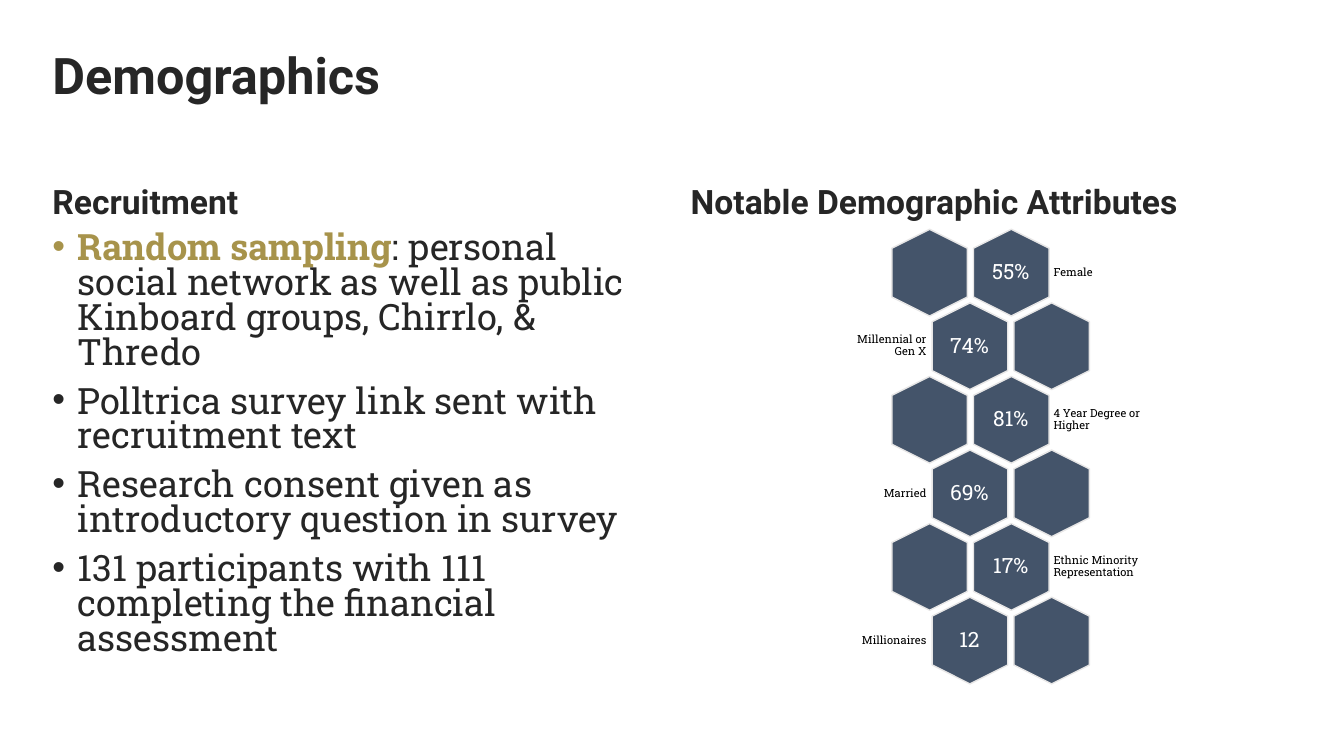
from pptx import Presentation
from pptx.dml.color import RGBColor
from pptx.enum.shapes import MSO_SHAPE
from pptx.enum.text import MSO_ANCHOR, MSO_AUTO_SIZE, PP_ALIGN
from pptx.oxml import parse_xml
from pptx.oxml.ns import nsdecls
from pptx.util import Inches, Pt

INK = RGBColor(0x26, 0x26, 0x26)
GOLD = RGBColor(0xA7, 0x93, 0x4B)
SLATE = RGBColor(0x44, 0x54, 0x6A)
PALE = RGBColor(0xE7, 0xE6, 0xE6)
WHITE = RGBColor(0xFF, 0xFF, 0xFF)
BLACK = RGBColor(0, 0, 0)
SANS, SLAB = "Roboto", "Roboto Slab"

RECRUITMENT = [
    [("Random sampling", GOLD),
     (": personal social network as well as public Kinboard groups, Chirrlo, & Thredo", INK)],
    [("Polltrica survey link sent with recruitment text", INK)],
    [("Research consent given as introductory question in survey", INK)],
    [("131 participants with 111 completing the financial assessment", INK)],
]
ATTRIBUTES = [
    ("55%", "Female"),
    ("74%", "Millennial or Gen X"),
    ("81%", "4 Year Degree or Higher"),
    ("69%", "Married"),
    ("17%", "Ethnic Minority Representation"),
    ("12", "Millionaires"),
]
HEX_TOP, ROW_STEP = 2.33, 0.73
HEX_WIDTH, HEX_HEIGHT = 0.86, 0.75


def add_span(para, text, *, font, size, color, bold=False):
    span = para.add_run()
    span.text = text
    span.font.name = font
    span.font.size = Pt(size)
    span.font.color.rgb = color
    span.font.bold = bold


def place(box, left, top, width, height):
    box.left, box.top = Inches(left), Inches(top)
    box.width, box.height = Inches(width), Inches(height)


def write_line(box, text, *, align=PP_ALIGN.LEFT, anchor=MSO_ANCHOR.MIDDLE, inset=None, **font):
    """Fill a box with one wrapped paragraph."""
    frame = box.text_frame
    frame.word_wrap = True
    frame.auto_size = MSO_AUTO_SIZE.NONE
    frame.vertical_anchor = anchor
    if inset is not None:
        frame.margin_left = frame.margin_right = Inches(inset)
        frame.margin_top = frame.margin_bottom = Inches(inset)
    para = frame.paragraphs[0]
    para.alignment = align
    para.line_spacing = 0.9
    para.space_before = Pt(0)
    add_span(para, text, **font)


def write_bullets(box, items):
    frame = box.text_frame
    frame.auto_size = MSO_AUTO_SIZE.NONE
    for index, spans in enumerate(items):
        para = frame.add_paragraph() if index else frame.paragraphs[0]
        para.line_spacing = 0.8
        para.space_before = Pt(10 if index else 0)
        properties = para._p.get_or_add_pPr()
        properties.set("marL", str(Inches(0.25)))
        properties.set("indent", str(Inches(-0.25)))
        properties.append(parse_xml(f'<a:buFont {nsdecls("a")} typeface="Arial"/>'))
        properties.append(parse_xml(f'<a:buChar {nsdecls("a")} char="•"/>'))
        for text, color in spans:
            add_span(para, text, font=SLAB, size=25.9, color=color, bold=color == GOLD)


def add_hexagon(group, left, top):
    hexagon = group.shapes.add_shape(
        MSO_SHAPE.HEXAGON, Inches(left), Inches(top), Inches(HEX_WIDTH), Inches(HEX_HEIGHT))
    hexagon.rotation = 90
    hexagon.adjustments[0] = 0.25
    hexagon.shadow.inherit = False
    hexagon.fill.solid()
    hexagon.fill.fore_color.rgb = SLATE
    hexagon.line.color.rgb = PALE
    hexagon.line.width = Pt(1)


def add_label(group, text, left, top, width, height, **style):
    box = group.shapes.add_textbox(Inches(left), Inches(top), Inches(width), Inches(height))
    write_line(box, text, font=SLAB, **style)


def add_honeycomb(slide):
    """Stack hexagon pairs, with values and labels on alternating sides."""
    group = slide.shapes.add_group_shape()
    for row, (value, label) in enumerate(ATTRIBUTES):
        top = HEX_TOP + row * ROW_STEP
        if row % 2 == 0:
            value_left, blank_left = 9.6, 8.79
            label_left, label_width, align = 10.42, 0.96, PP_ALIGN.LEFT
        else:
            value_left, blank_left = 9.19, 10
            label_left, label_width, align = 8.29, 0.93, PP_ALIGN.RIGHT
        add_hexagon(group, value_left, top)
        add_label(group, value, value_left + 0.17, top + 0.08, 0.51, 0.59,
                  align=PP_ALIGN.CENTER, inset=0.06, size=15, color=WHITE)
        add_label(group, label, label_left, top + 0.12, label_width, 0.51,
                  align=align, inset=0.03, size=8, color=BLACK)
        add_hexagon(group, blank_left, top)


def main():
    deck = Presentation()
    deck.slide_width, deck.slide_height = Inches(13.33), Inches(7.5)
    slide = deck.slides.add_slide(deck.slide_layouts.get_by_name("Comparison"))
    title, left_heading, bullets, right_heading, spare = slide.placeholders
    spare.element.getparent().remove(spare.element)

    place(title, 0.42, 0.22, 12.5, 1.11)
    write_line(title, "Demographics", font=SANS, size=36, color=INK, bold=True)
    for box, text, left, width in [
        (left_heading, "Recruitment", 0.42, 6.14),
        (right_heading, "Notable Demographic Attributes", 6.75, 6.17),
    ]:
        place(box, left, 1.35, width, 0.9)
        write_line(box, text, anchor=MSO_ANCHOR.BOTTOM, font=SANS, size=24, color=INK, bold=True)
    place(bullets, 0.42, 2.26, 6.14, 4.5)
    write_bullets(bullets, RECRUITMENT)
    add_honeycomb(slide)
    deck.save("out.pptx")


if __name__ == "__main__":
    main()
